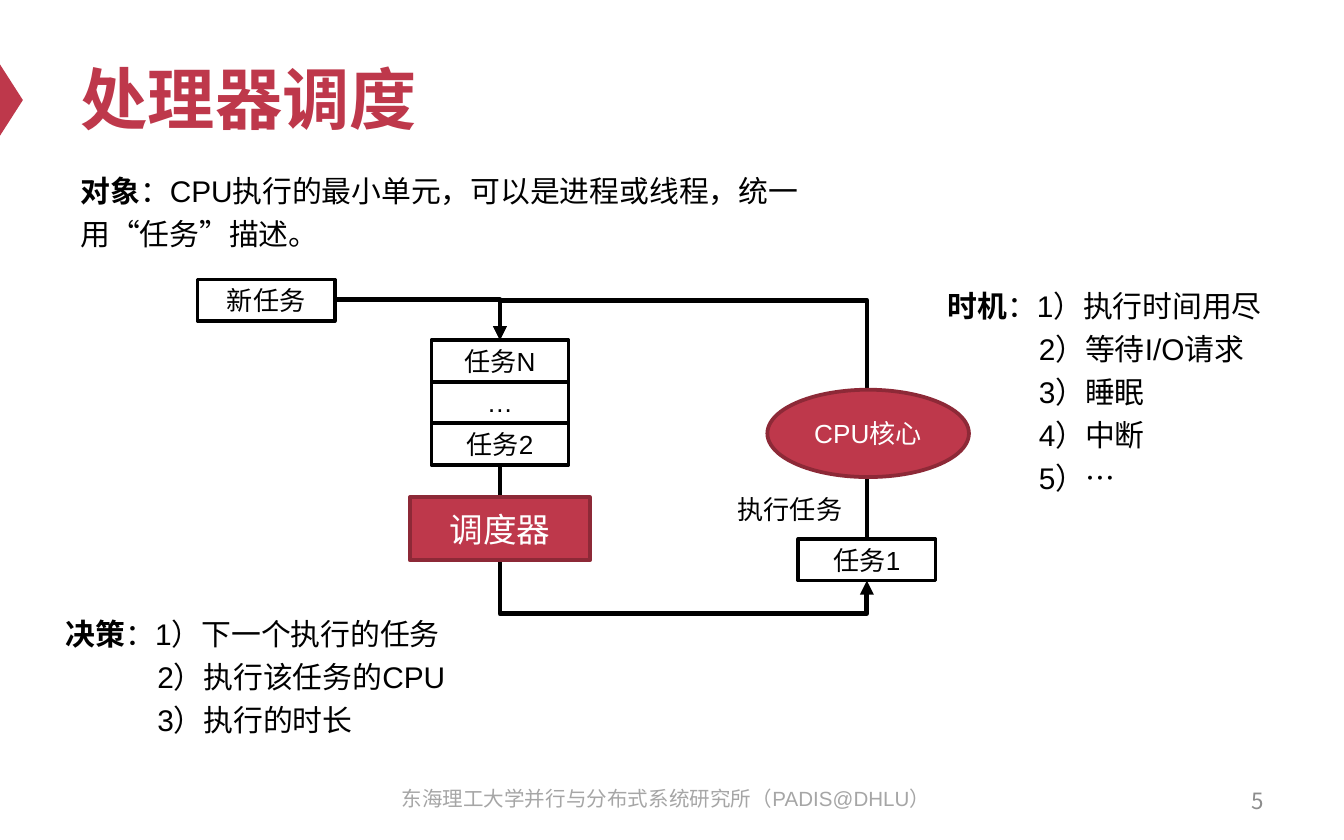
import pptx
import pptx.util
import pptx.dml.color
import pptx.enum.shapes
import pptx.enum.text
import pptx.oxml
import pptx.oxml.ns

Inches = pptx.util.Inches
Pt = pptx.util.Pt
Shape = pptx.enum.shapes.MSO_SHAPE
Align = pptx.enum.text.PP_ALIGN
Anchor = pptx.enum.text.MSO_ANCHOR
qn = pptx.oxml.ns.qn

COLORS = {
    "accent": "BE384B",
    "accent_edge": "8D2937",
    "ink": "000000",
    "white": "FFFFFF",
    "footer": "A6A6A6",
    "number": "8C8C8C",
}
LATIN, CJK = "Arial", "Noto Sans CJK SC"


def rgb(name):
    return pptx.dml.color.RGBColor.from_string(COLORS[name])


def write(frame, text, size=16, color="ink", bold=False, label="", align=Align.LEFT,
          anchor=Anchor.TOP, spacing=None, hang=0, font=LATIN, wrap=True):
    """Fill a text frame, one paragraph per line; a bold label may lead the first."""
    frame.word_wrap = wrap
    frame.auto_size = pptx.enum.text.MSO_AUTO_SIZE.NONE
    frame.vertical_anchor = anchor
    for number, line in enumerate(text.split("\n")):
        paragraph = frame.add_paragraph() if number else frame.paragraphs[0]
        paragraph.alignment = align
        paragraph.line_spacing = spacing
        paragraph.space_before = Pt(0)
        properties = paragraph._p.get_or_add_pPr()
        properties.set("marL", str(Inches(hang if number else 0)))
        properties.set("indent", "0")
        properties.append(properties.makeelement(qn("a:buNone"), {}))
        pieces = [(line, bold)]
        if label and not number:
            pieces.insert(0, (label, True))
        for piece, heavy in pieces:
            run = paragraph.add_run()
            run.text = piece
            run.font.size = Pt(size)
            run.font.bold = heavy
            run.font.name = font
            run.font.color.rgb = rgb(color)
            east_asian = run.font._element.makeelement(qn("a:ea"), {"typeface": CJK})
            run.font._element.find(qn("a:latin")).addnext(east_asian)


class SlideBuilder:
    def __init__(self, slide):
        self.slide = slide

    def placeholder(self, index, box, text, **style):
        holder = self.slide.placeholders[index]
        holder.left, holder.top, holder.width, holder.height = map(Inches, box)
        write(holder.text_frame, text, **style)

    def text(self, box, text, **style):
        write(self.slide.shapes.add_textbox(*map(Inches, box)).text_frame, text, **style)

    def node(self, kind, box, text="", fill=None, edge="ink", rotation=0, size=14, color="ink"):
        shape = self.slide.shapes.add_shape(kind, *map(Inches, box))
        shape.shadow.inherit = False
        shape.rotation = rotation
        if fill:
            shape.fill.solid()
            shape.fill.fore_color.rgb = rgb(fill)
        else:
            shape.fill.background()
        if edge:
            shape.line.color.rgb = rgb(edge)
            shape.line.width = Pt(2)
        else:
            shape.line.fill.background()
        if text:
            write(shape.text_frame, text, size=size, color=color,
                  align=Align.CENTER, anchor=Anchor.MIDDLE)

    def task(self, left, top, text):
        self.node(Shape.RECTANGLE, (left, top, TASK_W, TASK_H), text)

    def elbow(self, start, end):
        """Elbow arrow that leaves sideways and enters from above."""
        connector = self.slide.shapes.add_connector(
            pptx.enum.shapes.MSO_CONNECTOR.ELBOW, *map(Inches, start + end))
        connector.line.color.rgb = rgb("ink")
        connector.line.width = Pt(2.5)
        properties = connector._element.spPr
        properties.find(qn("a:prstGeom")).set("prst", "bentConnector2")
        line = properties.find(qn("a:ln"))
        line.append(line.makeelement(qn("a:tailEnd"), {"type": "triangle"}))
        properties.append(properties.makeelement(qn("a:effectLst"), {}))
        return connector

    def loop(self, start, end, flip, overshoot):
        """Vertical elbow arrow whose bend runs past its end by a share of its height."""
        connector = self.elbow(start, end)
        run, rise = abs(end[0] - start[0]), abs(end[1] - start[1])
        # The box is stored unrotated, so width and height swap about the centre
        connector.left = Inches((start[0] + end[0] - rise) / 2)
        connector.top = Inches((start[1] + end[1] - run) / 2)
        connector.width, connector.height = Inches(rise), Inches(run)
        properties = connector._element.spPr
        frame = properties.find(qn("a:xfrm"))
        for name in ("flipH", "flipV"):
            frame.set(name, "1" if name == flip else "0")
        frame.set("rot", str(270 * 60000))
        geometry = properties.find(qn("a:prstGeom"))
        geometry.set("prst", "bentConnector3")
        guides = geometry.get_or_add_avLst()
        guides.append(guides.makeelement(
            qn("a:gd"), {"name": "adj1", "fmla": f"val {round((1 + overshoot) * 100000)}"}))


TASK_W, TASK_H = 1.02, 0.31
QUEUE_X, CORE_X = 3.72, 6.45
QUEUE_TOP, TASK_1_TOP = 2.53, 4.01


def main():
    deck = pptx.Presentation()
    deck.slide_width, deck.slide_height = Inches(10), Inches(6.25)
    page = SlideBuilder(deck.slides.add_slide(deck.slide_layouts[3]))

    # Title with its marker
    page.node(Shape.ISOSCELES_TRIANGLE, (-0.18, 0.66, 0.53, 0.17),
              fill="accent", edge=None, rotation=90)
    page.placeholder(0, (0.5, 0.21, 9, 1.04), "处理器调度", size=36, color="accent",
                     bold=True, anchor=Anchor.MIDDLE)

    # Object, decision and timing
    page.text((0.5, 1.18, 5.65, 0.72),
              "：CPU执行的最小单元，可以是进程或线程，统一用“任务”描述。",
              label="对象", spacing=1.2)
    page.placeholder(1, (0.39, 4.48, 3.2, 1.04),
                     "：1）下一个执行的任务\n2）执行该任务的CPU\n3）执行的时长",
                     label="决策", spacing=1.2, hang=0.68)
    page.placeholder(2, (6.95, 2.04, 2.69, 1.69),
                     "：1）执行时间用尽\n2）等待I/O请求\n3）睡眠\n4）中断\n5）…",
                     label="时机", spacing=1.2, hang=0.68)

    # Arrows lie behind the nodes they join
    queue_entry = (QUEUE_X, QUEUE_TOP)
    page.loop((QUEUE_X, 3.47), (CORE_X, TASK_1_TOP + TASK_H), "flipH", 0.29)
    page.loop((CORE_X, TASK_1_TOP), queue_entry, "flipV", 0.2)
    page.elbow((2.5, 2.23), queue_entry)

    # Tasks: the new one, the queue, and the one being run
    page.task(1.47, 2.08, "新任务")
    for place, name in enumerate(("任务N", "…", "任务2")):
        page.task(QUEUE_X - TASK_W / 2, QUEUE_TOP + place * TASK_H, name)
    page.task(CORE_X - TASK_W / 2, TASK_1_TOP, "任务1")
    page.text((5.39, 3.62, 1.24, 0.34), "执行任务", size=14)

    # Scheduler and core
    for kind, box, name, size in (
        (Shape.RECTANGLE, (3.05, 3.7, 1.34, 0.47), "调度器", 18),
        (Shape.OVAL, (5.71, 2.9, 1.5, 0.65), "CPU核心", 14),
    ):
        page.node(kind, box, name, fill="accent", edge="accent_edge", size=size, color="white")

    # Footer
    page.text((2.79, 5.8, 4.33, 0.33), "东海理工大学并行与分布式系统研究所（PADIS@DHLU）",
              size=11, color="footer", align=Align.CENTER)
    page.text((7.17, 5.79, 2.33, 0.33), "5", size=12, color="number", font=CJK,
              align=Align.RIGHT, anchor=Anchor.MIDDLE)

    deck.save("out.pptx")


if __name__ == "__main__":
    main()
